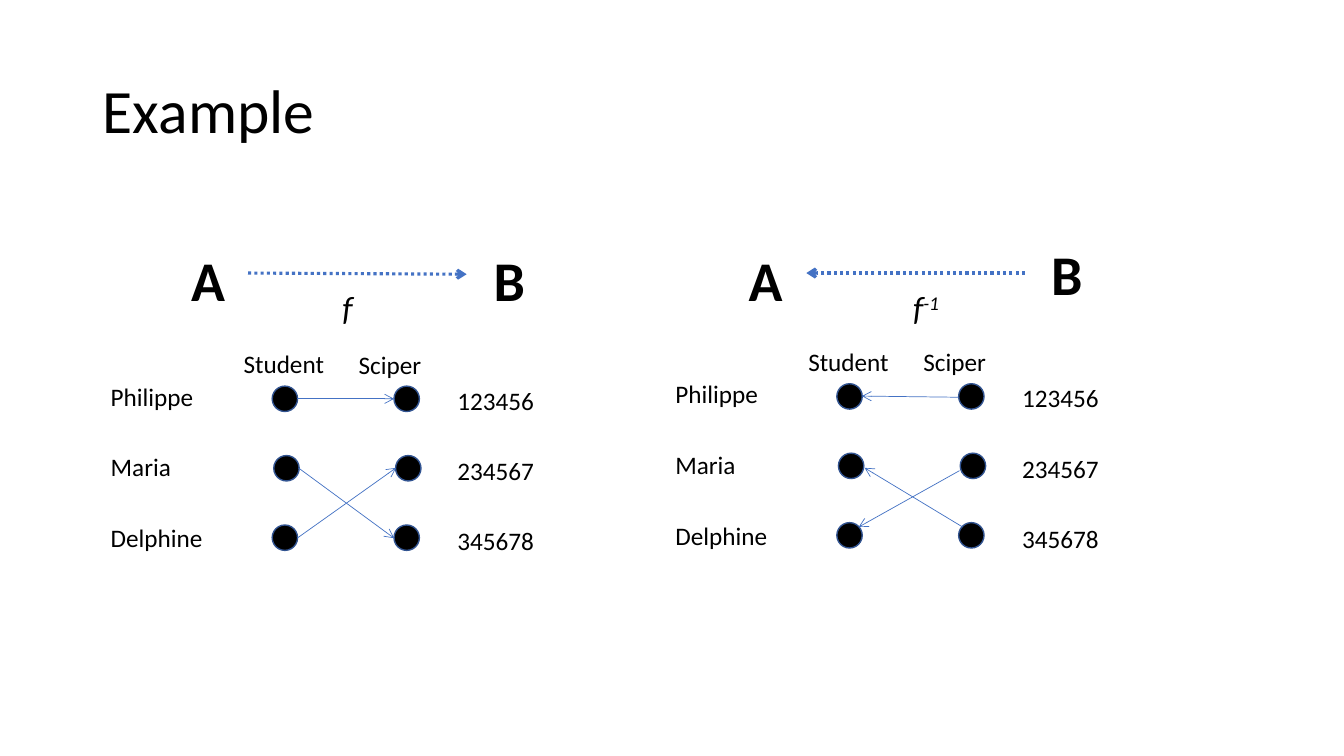
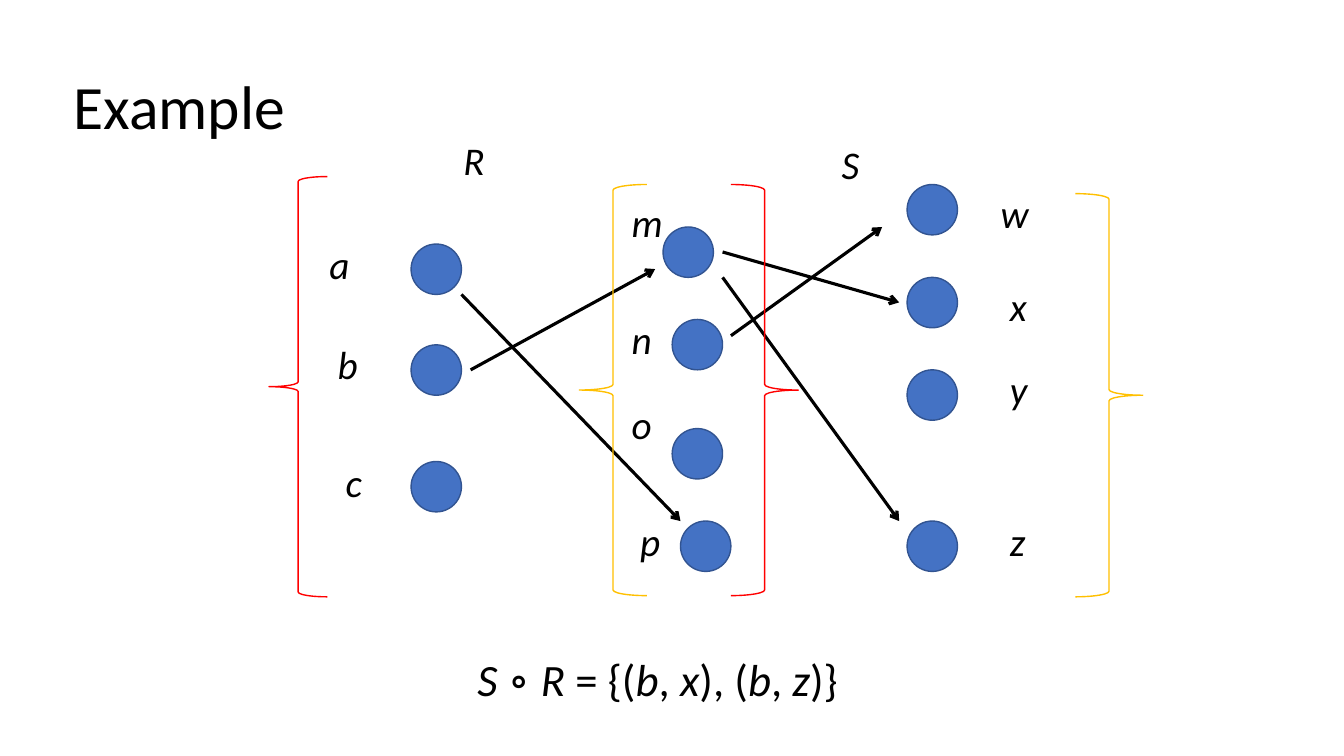
from lxml import etree
from pptx import Presentation
from pptx.dml.color import RGBColor
from pptx.enum.dml import MSO_LINE
from pptx.enum.shapes import MSO_CONNECTOR, MSO_SHAPE
from pptx.enum.text import MSO_ANCHOR, PP_ALIGN
from pptx.oxml.ns import qn
from pptx.util import Cm, Pt

ELLIPSE, STRAIGHT = MSO_SHAPE.OVAL, MSO_CONNECTOR.STRAIGHT
LEFT_BRACE, RIGHT_BRACE = MSO_SHAPE.LEFT_BRACE, MSO_SHAPE.RIGHT_BRACE
DOTTED, MIDDLE, ALIGN_LEFT = MSO_LINE.ROUND_DOT, MSO_ANCHOR.MIDDLE, PP_ALIGN.LEFT

BLACK = RGBColor(0x00, 0x00, 0x00)
BLUE = RGBColor(0x44, 0x72, 0xC4)
DARK_BLUE = RGBColor(0x32, 0x54, 0x91)
RED = RGBColor(0xFF, 0x00, 0x00)
GOLD = RGBColor(0xFF, 0xC0, 0x00)
FONT, SYMBOL_FONT = "Calibri", "Times New Roman"

# All lengths below are centimetres.
STUDENTS = ["Philippe", "Maria", "Delphine"]
NUMBERS = ["123456", "234567", "345678"]
HEADINGS = [("Student", 5.89, 8.66, 2.57), ("Sciper", 8.79, 8.67, 2.11)]
COLUMN_DOTS = [6.86, 9.93]
DOT_SIZE, NODE_SIZE = 0.64, 1.27

FUNCTIONS = [
    {
        "offset": (0, 0),
        "sets": [("A", 4.57, 6.05), ("B", 12.19, 6.05)],
        "direction": (6.25, 6.88, 11.76, 6.91),
        "name": (8.38, 7.11), "exponent": "",
        "links": [(7.49, 10.05, 9.93, 10.05), (7.52, 11.79, 9.93, 13.56),
                  (7.49, 13.56, 9.98, 11.79)],
    },
    {
        "offset": (14.23, -0.06),
        "sets": [("A", 18.62, 6.05), ("B", 26.24, 5.92)],
        "direction": (25.83, 6.88, 20.32, 6.88),
        "name": (22.76, 7.11), "exponent": "-1",
        "links": [(24.16, 10.01, 21.72, 9.98), (24.26, 13.28, 21.79, 11.79),
                  (24.18, 11.86, 21.64, 13.28)],
    },
]

# letter, letter position, node position
NODES = [
    ("a", (8.05, 5.92), (10.36, 6.15)),
    ("b", (8.26, 8.46), (10.36, 8.69)),
    ("c", (8.46, 11.43), (10.36, 11.63)),
    ("m", (15.67, 4.88), (16.71, 5.72)),
    ("n", (15.67, 7.82), (16.94, 8.05)),
    ("o", (15.67, 9.96), (16.94, 10.8)),
    ("p", (15.88, 12.9), (17.15, 13.13)),
    ("w", (24.97, 4.65), (22.86, 4.65)),
    ("x", (25.2, 6.99), (22.86, 6.99)),
    ("y", (25.2, 9.09), (22.86, 9.32)),
    ("z", (25.2, 12.9), (22.86, 13.13)),
]
RELATIONS = [("R", 11.43, 3.3), ("S", 20.96, 3.4)]
PAIRS = [(11.86, 9.32, 16.51, 6.78), (11.63, 7.42, 17.15, 13.13),
         (18.42, 8.46, 22.23, 5.72), (18.21, 6.35, 22.66, 7.62),
         (18.21, 6.99, 22.66, 13.13)]
BRACES = [
    (RIGHT_BRACE, RED, (18.42, 4.65, 1.7, 10.36)),
    (LEFT_BRACE, RED, (6.78, 4.45, 1.47, 10.59)),
    (RIGHT_BRACE, GOLD, (27.1, 4.88, 1.7, 10.16)),
    (LEFT_BRACE, GOLD, (14.6, 4.65, 1.7, 10.36)),
]
COMPOSITION = ["S ", "∘ ", "R ", "= {(", "b", ", ", "x", "), (", "b", ", ", "z", ")}"]


def lengths(*values):
    return [Cm(value) for value in values]


def add_page(deck, title, frame):
    page = deck.slides.add_slide(deck.slide_layouts[5])
    box = page.shapes.title
    box.left, box.top, box.width, box.height = lengths(*frame)
    box.text_frame.text = title
    box.text_frame.vertical_anchor = MIDDLE
    para = box.text_frame.paragraphs[0]
    para.alignment, para.line_spacing = ALIGN_LEFT, 0.9
    style_font(para, 44)
    return page


def style_font(para, size, bold=False, italic=False):
    font = para.font
    font.name, font.size, font.bold, font.italic = FONT, Pt(size), bold, italic
    font.color.rgb = BLACK


def add_label(page, text, left, top, width, size, wrap=True, **style):
    """Add a one-line text box and return its paragraph."""
    height = size * 0.043 + 0.25
    box = page.shapes.add_textbox(*lengths(left, top, width, height))
    box.text_frame.word_wrap = wrap
    para = box.text_frame.paragraphs[0]
    if text:
        para.add_run().text = text
    style_font(para, size, **style)
    return para


def add_circle(page, left, top, size, color):
    circle = page.shapes.add_shape(ELLIPSE, *lengths(left, top, size, size))
    circle.shadow.inherit = False
    circle.fill.solid()
    circle.fill.fore_color.rgb = color
    circle.line.color.rgb, circle.line.width = DARK_BLUE, Pt(1)


def add_brace(page, kind, color, frame):
    brace = page.shapes.add_shape(kind, *lengths(*frame))
    brace.shadow.inherit = False
    brace.fill.background()
    brace.line.color.rgb, brace.line.width = color, Pt(1)


def add_arrow(page, ends, color, width, dash=None):
    arrow = page.shapes.add_connector(STRAIGHT, *lengths(*ends))
    arrow.line.color.rgb, arrow.line.width = color, Pt(width)
    if dash:
        arrow.line.dash_style = dash
    etree.SubElement(arrow.line._get_or_add_ln(), qn("a:tailEnd"), type="arrow")
    etree.SubElement(arrow._element.spPr, qn("a:effectLst"))


def add_function(page, function):
    shift_x, shift_y = function["offset"]
    for row, (student, number) in enumerate(zip(STUDENTS, NUMBERS)):
        add_label(page, student, 2.54 + shift_x, 9.48 + 1.78 * row + shift_y, 6, 18)
        add_label(page, number, 11.28 + shift_x, 9.58 + 1.77 * row + shift_y, 6, 18)
        nudge = 0.04 if row == 1 else 0
        for column in COLUMN_DOTS:
            add_circle(page, column + nudge + shift_x, 9.73 + 1.75 * row + shift_y,
                       DOT_SIZE, BLACK)
    for heading, left, top, width in HEADINGS:
        add_label(page, heading, left + shift_x, top + shift_y, width, 18, wrap=False)
    for link in function["links"]:
        add_arrow(page, link, BLUE, 0.5)
    for name, left, top in function["sets"]:
        add_label(page, name, left, top, 1.9, 40, bold=True)
    add_arrow(page, function["direction"], BLUE, 2.25, DOTTED)
    para = add_label(page, "f", *function["name"], 1.47, 24, italic=True)
    if function["exponent"]:
        span = para.add_run()
        span.text = function["exponent"]
        span.font._element.set("baseline", "30000")


def add_composition(page):
    para = add_label(page, "", 11.78, 16.31, 13.1, 32)
    for text in COMPOSITION:
        span = para.add_run()
        span.text = text
        span.font.italic = text.strip().isalpha()
        if "∘" in text:
            span.font.name = SYMBOL_FONT


def main():
    deck = Presentation()
    deck.slide_width, deck.slide_height = lengths(33.87, 19.05)

    page = add_page(deck, "Example", (2.34, 1.02, 29.21, 3.68))
    for function in FUNCTIONS:
        add_function(page, function)

    page = add_page(deck, "Example", (1.6, 1.17, 28.91, 3.18))
    for _, _, place in NODES:
        add_circle(page, *place, NODE_SIZE, BLUE)
    for pair in PAIRS:
        add_arrow(page, pair, BLACK, 2.25)
    for brace in BRACES:
        add_brace(page, *brace)
    for letter, place, _ in NODES:
        add_label(page, letter, *place, 1.06, 28, italic=True)
    for relation, left, top in RELATIONS:
        add_label(page, relation, left, top, 2.12, 28, italic=True)
    add_composition(page)

    deck.save("out.pptx")


if __name__ == "__main__":
    main()
